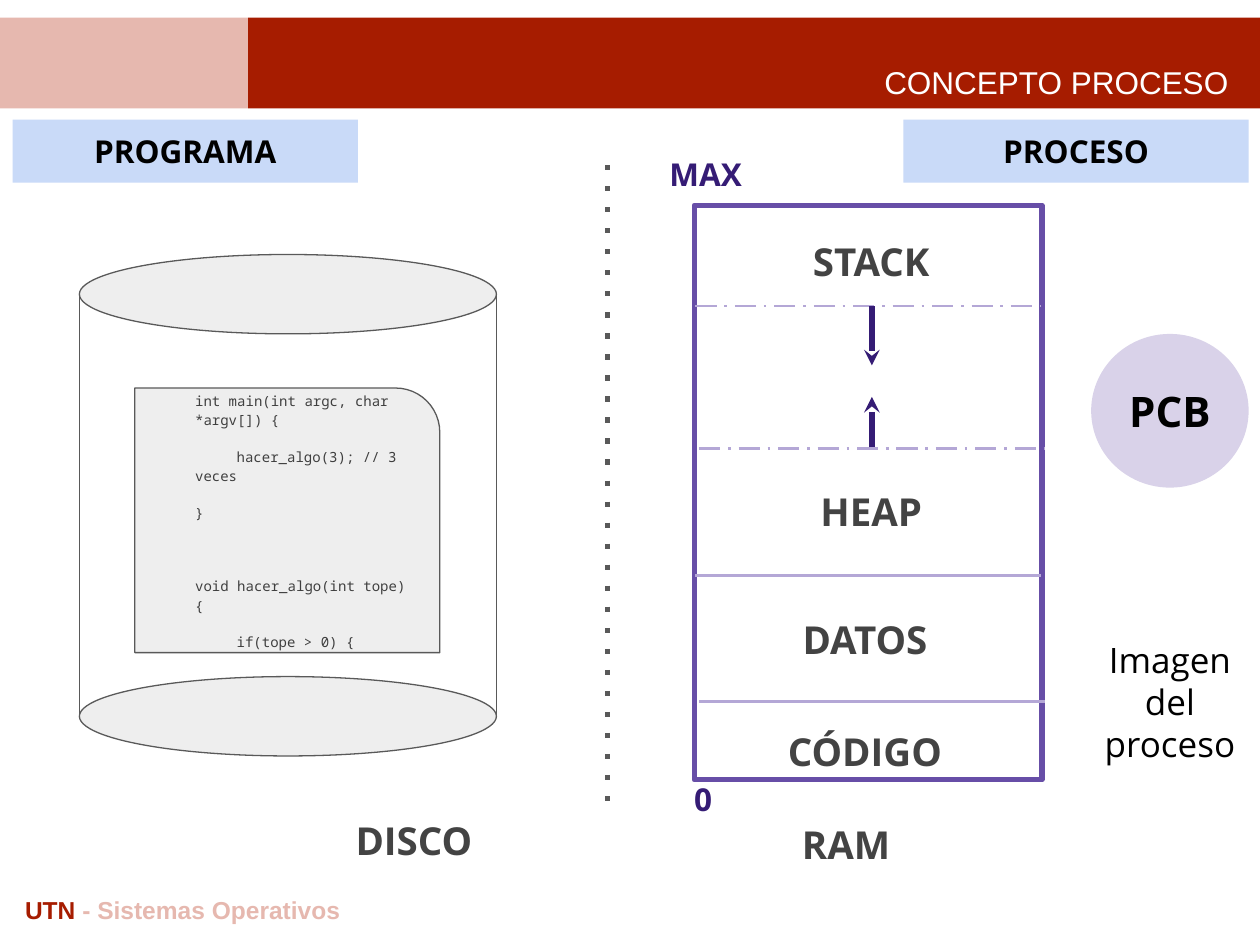
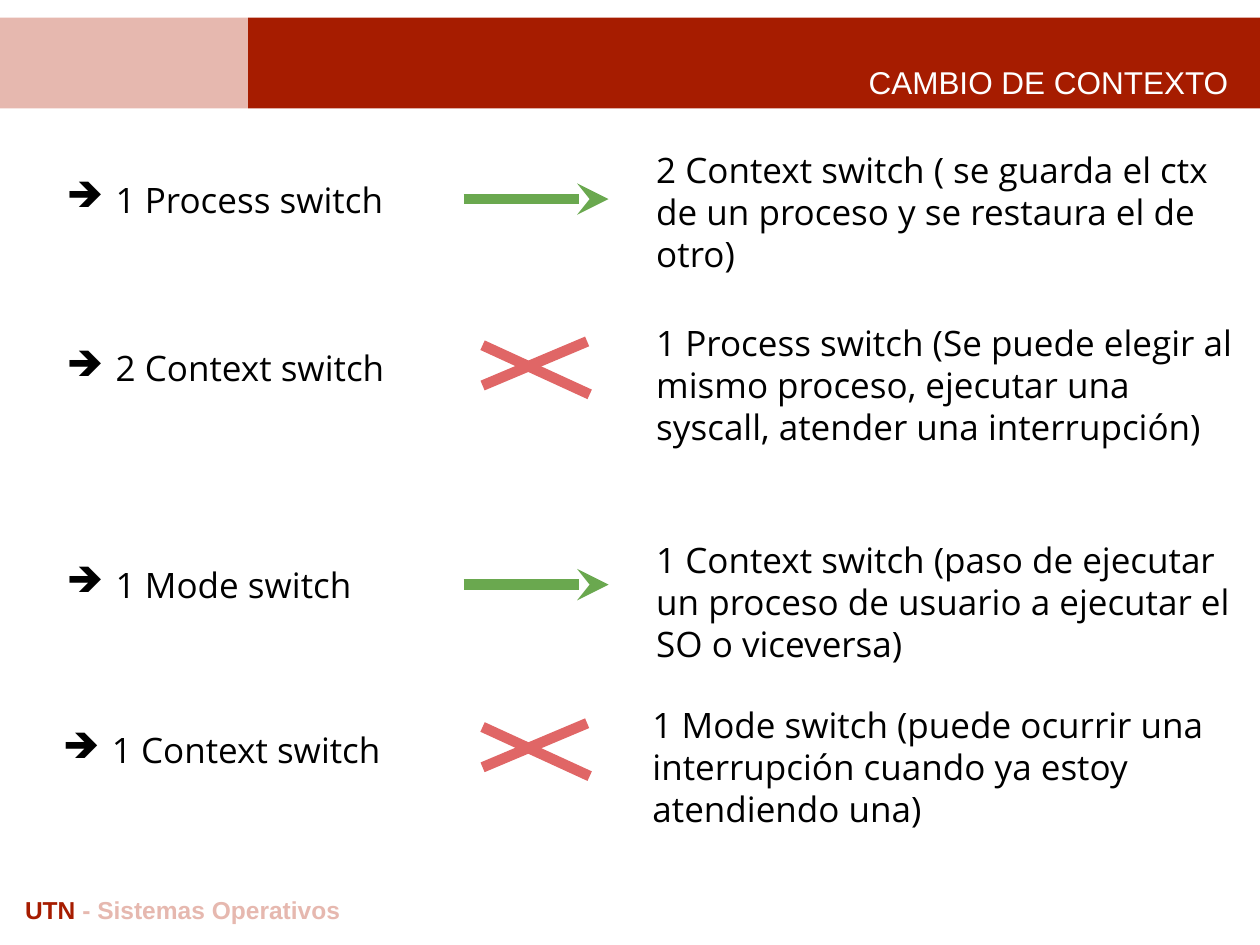
"""Build two slides on processes and context switches."""
from pptx import Presentation
from pptx.dml.color import RGBColor
from pptx.enum.shapes import MSO_CONNECTOR, MSO_SHAPE
from pptx.enum.text import MSO_ANCHOR, MSO_AUTO_SIZE, PP_ALIGN
from pptx.oxml.ns import qn
from pptx.util import Inches, Pt
from lxml.etree import SubElement

RED = RGBColor(0xA6, 0x1C, 0x00)
PINK = RGBColor(0xE6, 0xB8, 0xAF)
WHITE = RGBColor(0xFF, 0xFF, 0xFF)
BLACK = RGBColor(0x00, 0x00, 0x00)
DARK = RGBColor(0x43, 0x43, 0x43)
CODE_GRAY = RGBColor(0x3F, 0x3F, 0x3F)
OUTLINE = RGBColor(0x59, 0x59, 0x59)
LIGHT = RGBColor(0xEE, 0xEE, 0xEE)
SKY = RGBColor(0xC9, 0xDA, 0xF8)
LILAC = RGBColor(0xD9, 0xD2, 0xE9)
LAVENDER = RGBColor(0xB4, 0xA7, 0xD6)
PURPLE = RGBColor(0x67, 0x4E, 0xA7)
INDIGO = RGBColor(0x35, 0x1C, 0x75)
GREEN = RGBColor(0x6A, 0xA8, 0x4F)
CORAL = RGBColor(0xE0, 0x66, 0x66)

SANS, BODY, MONO = "Arial", "Open Sans", "Noto Sans Mono"

TITLES = ["CONCEPTO PROCESO", "CAMBIO DE CONTEXTO"]
FOOTER = [("UTN ", RED), ("- Sistemas Operativos", PINK)]

HEADINGS = [("PROGRAMA", 0.1), ("PROCESO", 7.17)]
PLACES = [
    ("CÓDIGO", 5.55, 5.71, 0.5),
    ("DATOS", 5.55, 4.71, 0.72),
    ("HEAP", 5.6, 3.7, 0.72),
    ("STACK", 5.6, 1.71, 0.72),
    ("DISCO", 1.97, 6.31, 0.72),
    ("RAM", 5.4, 6.34, 0.72),
]
ADDRESSES = [("MAX", 5.06, 1.13), ("0", 5.04, 6.09)]
DIVIDERS = [
    (5.52, 2.43, "lgDashDot"),
    (5.55, 3.56, "lgDashDot"),
    (5.52, 4.57, None),
    (5.55, 5.57, None),
]
GROWTH = [(2.43, 2.9), (3.55, 3.15)]
CODE = [
    ("int main(int argc, char *argv[]) {", 0, 0),
    ("hacer_algo(3); // 3 veces", 0.33, 10),
    ("}", 0, 10),
    ("void hacer_algo(int tope) {", 0, 31),
    ("if(tope > 0) {", 0.33, 10),
]

SWITCHES = [
    ("1 Process switch", "2 Context switch ( se guarda el ctx de un proceso y se "
     "restaura el de otro)", True, 0, 1.58, 1.08),
    ("2 Context switch", "1 Process switch (Se puede elegir al mismo proceso, "
     "ejecutar una syscall, atender una interrupción)", False, 0, 2.92, 2.45),
    ("1 Mode switch", "1 Context switch (paso de ejecutar un proceso de usuario a "
     "ejecutar el SO o viceversa)", True, 0, 4.64, 4.17),
    ("1 Context switch", "1 Mode switch (puede ocurrir una interrupción cuando ya "
     "estoy atendiendo una)", False, -0.03, 5.95, 5.48),
]
CROSS = [(3.83, 0.14, 4.66, -0.21), (3.83, -0.18, 4.68, 0.21)]


def write(tf, text, size=20, font=BODY, color=BLACK, bold=False, align=PP_ALIGN.LEFT,
          left=0, first=0, before=0, spacing=None, bullet=None, anchor=None, new=False):
    """Write a paragraph, given as a string or as (text, colour) runs."""
    tf.word_wrap = True
    tf.auto_size = MSO_AUTO_SIZE.NONE
    tf.margin_left = tf.margin_right = tf.margin_top = tf.margin_bottom = Inches(0.1)
    if anchor is not None:
        tf.vertical_anchor = anchor
    p = tf.add_paragraph() if new else tf.paragraphs[0]
    p.alignment = align
    p.space_before = Pt(before)
    if spacing:
        p.line_spacing = spacing
    pPr = p._p.get_or_add_pPr()
    pPr.set("marL", str(Inches(left)))
    pPr.set("indent", str(Inches(first)))
    if bullet:
        SubElement(pPr, qn("a:buChar"), char=bullet)
    for part, tint in [(text, color)] if isinstance(text, str) else text:
        r = p.add_run()
        r.text = part
        r.font.size, r.font.name, r.font.bold = Pt(size), font, bold
        r.font.color.rgb = tint


def box(s, x, y, w, h, text, anchor=MSO_ANCHOR.TOP, **fmt):
    """Add a text box."""
    sp = s.shapes.add_textbox(Inches(x), Inches(y), Inches(w), Inches(h))
    write(sp.text_frame, text, anchor=anchor, **fmt)


def shape(s, kind, x, y, w, h, fill=None, line=None, width=0.75):
    """Add a preset shape with optional fill and outline."""
    sp = s.shapes.add_shape(kind, Inches(x), Inches(y), Inches(w), Inches(h))
    sp.shadow.inherit = False
    if fill is None:
        sp.fill.background()
    else:
        sp.fill.solid()
        sp.fill.fore_color.rgb = fill
    if line is None:
        sp.line.fill.background()
    else:
        sp.line.color.rgb = line
        sp.line.width = Pt(width)
    return sp


def connect(s, x1, y1, x2, y2, color, width, dash=None, arrow=False):
    """Add a straight line with optional dash and arrowhead."""
    cn = s.shapes.add_connector(MSO_CONNECTOR.STRAIGHT, Inches(x1), Inches(y1),
                                Inches(x2), Inches(y2))
    cn.line.color.rgb = color
    cn.line.width = Pt(width)
    ln = cn.line._get_or_add_ln()
    if dash:
        SubElement(ln, qn("a:prstDash"), val=dash)
    if arrow:
        SubElement(ln, qn("a:tailEnd"), type="stealth")
    SubElement(cn._element.spPr, qn("a:effectLst"))


def base_slide(prs, title):
    """Add a slide with the bands, title and footer."""
    s = prs.slides.add_slide(prs.slide_layouts[5])
    shape(s, MSO_SHAPE.RECTANGLE, 0, 0.14, 1.97, 0.72, PINK)
    shape(s, MSO_SHAPE.RECTANGLE, 1.97, 0.14, 8.03, 0.72, RED)
    sp = s.shapes.title
    sp.left, sp.top, sp.width, sp.height = (Inches(v) for v in (1.35, 0.4, 8.5, 0.5))
    write(sp.text_frame, title, size=18, font=SANS, color=WHITE, align=PP_ALIGN.RIGHT,
          anchor=MSO_ANCHOR.BOTTOM)
    sp.element.getparent().append(sp.element)
    box(s, 0.1, 7, 9.81, 0.44, FOOTER, size=14, font=SANS, bold=True)
    return s


def draw_disk(s):
    """Draw the disk holding the program's code."""
    x, w, h, top, bottom = 0.63, 3.31, 0.63, 2.02, 5.37
    for y in (top, bottom):
        shape(s, MSO_SHAPE.OVAL, x, y, w, h, LIGHT, OUTLINE)
    for side in (x, x + w):
        connect(s, side, top + h / 2, side, bottom + h / 2, OUTLINE, 0.75)
    page = shape(s, MSO_SHAPE.ROUND_1_RECTANGLE, 1.07, 3.08, 2.42, 2.1, LIGHT, OUTLINE)
    page.adjustments[0] = 0.167
    for i, (text, first, before) in enumerate(CODE):
        write(page.text_frame, text, size=8, font=MONO, color=CODE_GRAY, left=0.38,
              first=first, before=before, spacing=1.15, anchor=MSO_ANCHOR.MIDDLE,
              new=i > 0)


def draw_memory(s):
    """Draw the memory layout of the process."""
    shape(s, MSO_SHAPE.RECTANGLE, 5.51, 1.63, 2.76, 4.56, None, PURPLE, 3)
    for x, y, dash in DIVIDERS:
        connect(s, x, y, x + 2.74, y, LAVENDER, 1.5, dash)
    for start, end in GROWTH:
        connect(s, 6.92, start, 6.92, end, INDIGO, 3, arrow=True)
    for text, x, y in ADDRESSES:
        box(s, x, y, 1.08, 0.5, text, size=18, color=INDIGO, bold=True,
            align=PP_ALIGN.CENTER)


def process_slide(prs):
    """Build the slide comparing program and process."""
    s = base_slide(prs, TITLES[0])
    draw_disk(s)
    connect(s, 4.82, 1.31, 4.82, 6.43, OUTLINE, 3, "dot")
    draw_memory(s)
    for text, x, y, h in PLACES:
        box(s, x, y, 2.63, h, text, size=22, color=DARK, bold=True,
            align=PP_ALIGN.CENTER, anchor=MSO_ANCHOR.MIDDLE)
    for text, x in HEADINGS:
        sp = shape(s, MSO_SHAPE.RECTANGLE, x, 0.95, 2.74, 0.5, SKY)
        write(sp.text_frame, text, size=18, bold=True, align=PP_ALIGN.CENTER,
              anchor=MSO_ANCHOR.TOP)
    pcb = shape(s, MSO_SHAPE.OVAL, 8.66, 2.65, 1.25, 1.22, LILAC)
    write(pcb.text_frame, "PCB", size=24, bold=True, align=PP_ALIGN.CENTER,
          anchor=MSO_ANCHOR.MIDDLE)
    box(s, 8.64, 4.97, 1.29, 1.71, "Imagen del proceso", align=PP_ALIGN.CENTER)


def switch_slide(prs):
    """Build the slide on which switch implies which."""
    s = base_slide(prs, TITLES[1])
    for cause, effect, implies, dx, y, top in SWITCHES:
        box(s, 0.32 + dx, y - 0.3, 3.55, 0.6, cause, left=0.5, first=-0.39, bullet="➔",
            anchor=MSO_ANCHOR.MIDDLE)
        box(s, 5.11 + dx, top, 4.79, 1.4, effect)
        if implies:
            connect(s, 3.68, y, 4.83, y, GREEN, 6, arrow=True)
        else:
            for x1, dy1, x2, dy2 in CROSS:
                connect(s, x1, y + dy1, x2, y + dy2, CORAL, 6)


def main():
    """Build and save the presentation."""
    prs = Presentation()
    prs.slide_width, prs.slide_height = Inches(10), Inches(7.5)
    process_slide(prs)
    switch_slide(prs)
    prs.save("out.pptx")


if __name__ == "__main__":
    main()
